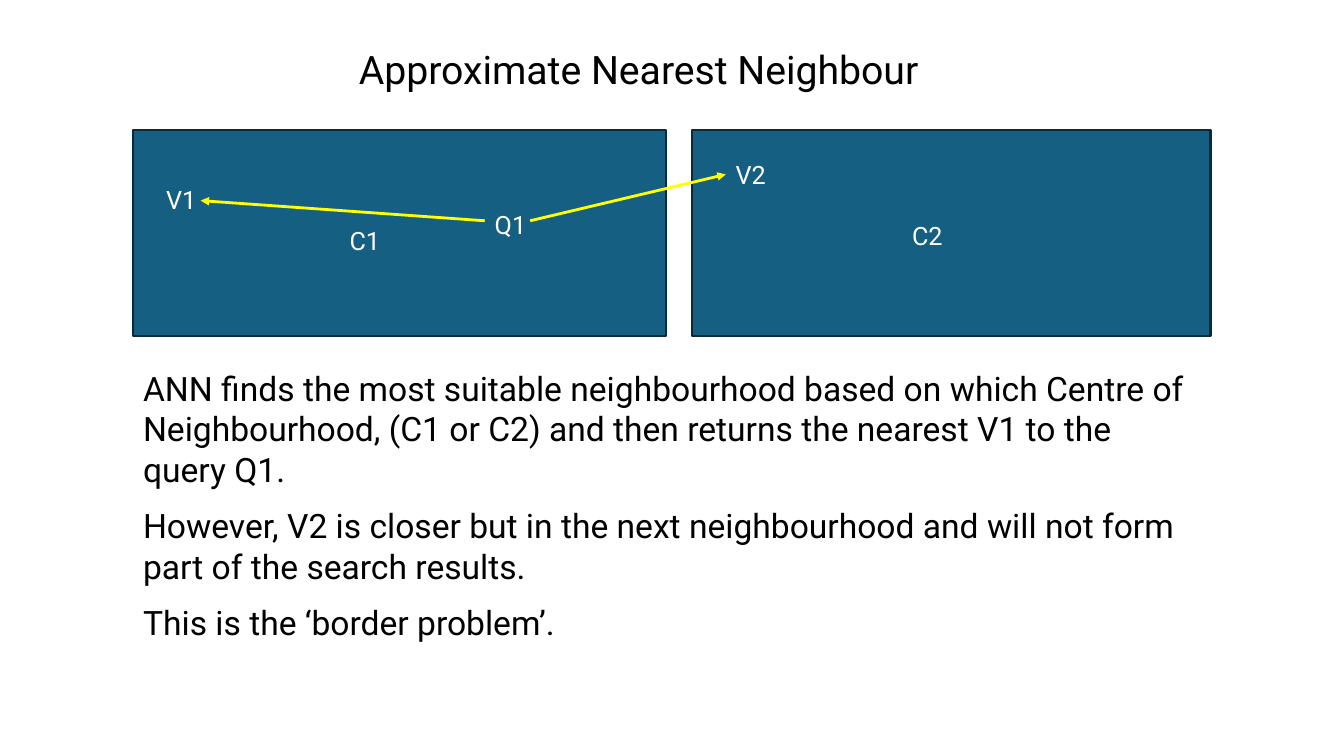
from pptx import Presentation
from pptx.dml.color import RGBColor
from pptx.enum.shapes import MSO_CONNECTOR, MSO_SHAPE
from pptx.enum.text import MSO_ANCHOR, MSO_AUTO_SIZE, PP_ALIGN
from pptx.oxml.ns import qn
from pptx.util import Pt
from lxml import etree

RECTANGLE = MSO_SHAPE.RECTANGLE
STRAIGHT = MSO_CONNECTOR.STRAIGHT
TOP = MSO_ANCHOR.TOP
LEFT = PP_ALIGN.LEFT
NO_AUTOFIT = MSO_AUTO_SIZE.NONE

COLORS = {
    "region": "156082",
    "border": "092A39",
    "arrow": "FFFF00",
    "label": "FFFFFF",
    "text": "000000",
}

TITLE = "Approximate Nearest Neighbour"
EXPLANATION = [
    "ANN finds the most suitable neighbourhood based on which Centre of "
    "Neighbourhood, (C1 or C2) and then returns the nearest V1 to the query Q1.",
    "However, V2 is closer but in the next neighbourhood and will not form "
    "part of the search results.",
    "This is the ‘border problem’.",
]
REGION_TOP, REGION_HEIGHT = 92.9, 146.9
REGIONS = [(95, 380.9), (494.6, 370.1)]  # left, width
POINT_LABELS = {
    "V1": (111.6, 128.2),
    "Q1": (346.3, 146.2),
    "V2": (518.4, 110.2),
    "C1": (242.6, 157.7),
    "C2": (644.4, 154.1),
}
QUERY_ARROWS = [((378.7, 157.7), (518.4, 124.6)), ((346.3, 157.7), (143.3, 143.3))]


class SlideBuilder:
    def __init__(self, slide, font):
        self.slide = slide
        self.font = font

    def color(self, name):
        return RGBColor.from_string(COLORS[name])

    def add_paragraphs(self, frame, paragraphs, size, color, gap=0):
        """Fill a frame with left-aligned, unbulleted paragraphs, gap points apart."""
        frame.word_wrap = True
        frame.auto_size = NO_AUTOFIT
        frame.vertical_anchor = TOP
        for index, wording in enumerate(paragraphs):
            paragraph = frame.add_paragraph() if index else frame.paragraphs[0]
            paragraph.alignment = LEFT
            paragraph.space_before = Pt(gap if index else 0)
            properties = paragraph._p.get_or_add_pPr()
            properties.set("marL", "0")
            properties.set("indent", "0")
            etree.SubElement(properties, qn("a:buNone"))
            run = paragraph.add_run()
            run.text = wording
            run.font.name = self.font
            run.font.size = Pt(size)
            run.font.color.rgb = self.color(color)

    def placeholder(self, index, box, paragraphs, size, gap=0):
        holder = self.slide.placeholders[index]
        holder.left, holder.top, holder.width, holder.height = map(Pt, box)
        self.add_paragraphs(holder.text_frame, paragraphs, size, "text", gap)

    def region(self, left, top, width, height):
        region = self.slide.shapes.add_shape(
            RECTANGLE, Pt(left), Pt(top), Pt(width), Pt(height))
        region.shadow.inherit = False
        region.fill.solid()
        region.fill.fore_color.rgb = self.color("region")
        region.line.color.rgb = self.color("border")
        region.line.width = Pt(1.5)

    def label(self, wording, left, top):
        label = self.slide.shapes.add_textbox(Pt(left), Pt(top), Pt(41.8), Pt(28.8))
        self.add_paragraphs(label.text_frame, [wording], 18, "label")

    def arrow(self, start, end):
        arrow = self.slide.shapes.add_connector(STRAIGHT, *map(Pt, start + end))
        arrow.line.color.rgb = self.color("arrow")
        arrow.line.width = Pt(2)
        outline = arrow._element.spPr.find(qn("a:ln"))
        etree.SubElement(outline, qn("a:tailEnd"), type="triangle")
        etree.SubElement(arrow._element.spPr, qn("a:effectLst"))


def main():
    presentation = Presentation()
    presentation.slide_width, presentation.slide_height = Pt(960), Pt(540)
    slide = presentation.slides.add_slide(presentation.slide_layouts[1])
    builder = SlideBuilder(slide, "Roboto")

    builder.placeholder(0, (249.1, 28.8, 419.8, 41), [TITLE], 28)
    builder.placeholder(1, (95, 259.2, 769.7, 208.1), EXPLANATION, 24, gap=11.7)
    for left, width in REGIONS:
        builder.region(left, REGION_TOP, width, REGION_HEIGHT)
    for wording, (left, top) in POINT_LABELS.items():
        builder.label(wording, left, top)
    for start, end in QUERY_ARROWS:
        builder.arrow(start, end)

    presentation.save("out.pptx")


if __name__ == "__main__":
    main()
